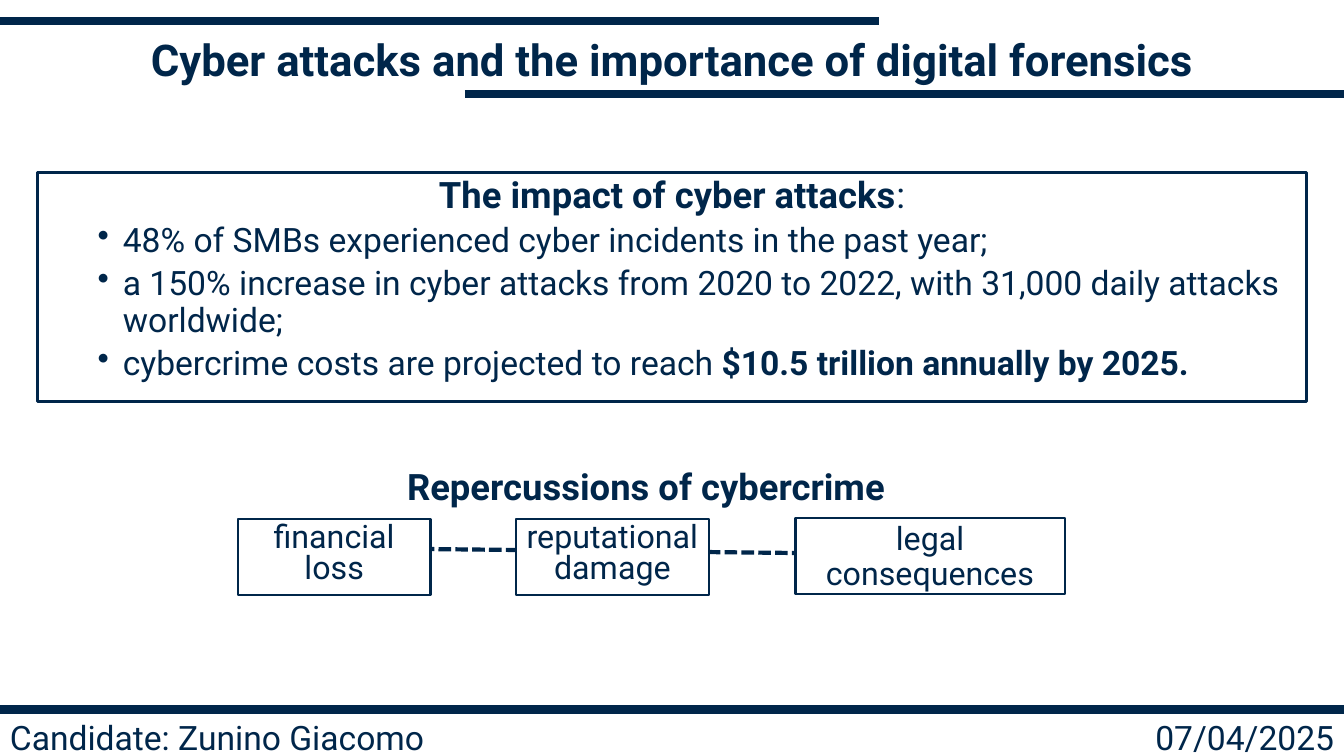
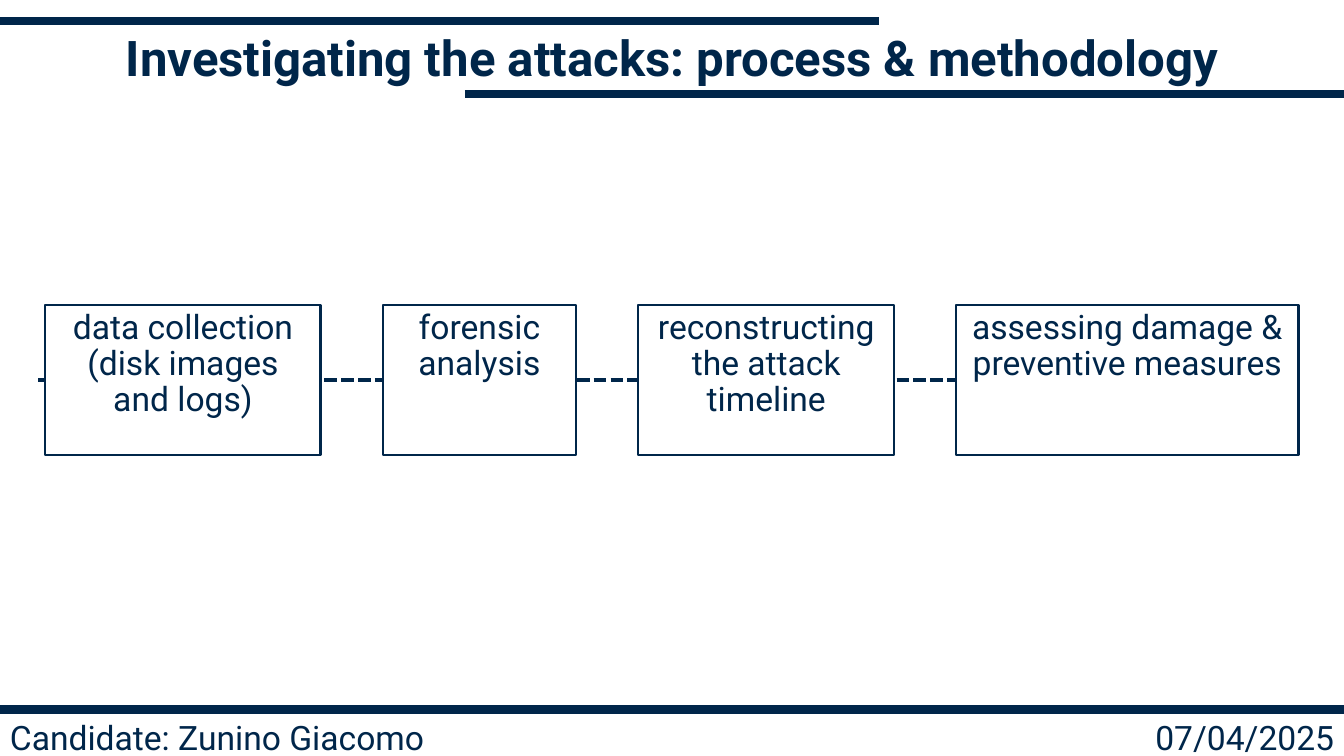
from dataclasses import dataclass

from lxml import etree
from pptx import Presentation
from pptx.dml.color import RGBColor
from pptx.enum import dml, shapes, text
from pptx.oxml import ns
from pptx.util import Inches, Pt

NAVY = "00264A"
WHITE = "FFFFFF"
FONT = "Roboto"
WIDTH, HEIGHT = 13.33, 7.5
LEFT, CENTER, RIGHT = text.PP_ALIGN.LEFT, text.PP_ALIGN.CENTER, text.PP_ALIGN.RIGHT
TOP, MIDDLE = text.MSO_ANCHOR.TOP, text.MSO_ANCHOR.MIDDLE


@dataclass
class Span:
    words: str
    bold: bool = False


@dataclass
class Para:
    spans: list[Span]
    size: float
    align: text.PP_ALIGN = CENTER
    spacing: float = 0.9
    before: float = 10
    bullet: bool = False


@dataclass
class Step:
    """One box of a process chain."""
    words: str
    left: float
    top: float
    width: float
    spacing: float = 0.9


def color(value: str) -> RGBColor:
    return RGBColor.from_string(value)


def add_bullet(para) -> None:
    para.level = 1
    properties = para._p.get_or_add_pPr()
    properties.set("marL", str(Inches(0.75)))
    properties.set("indent", str(Inches(-0.25)))
    mark = etree.Element(ns.qn("a:buChar"), char="•")
    default_font = properties.find(ns.qn("a:defRPr"))
    default_font.addprevious(mark)


def write(frame, paras: list[Para], anchor=TOP) -> None:
    frame.word_wrap = True
    frame.auto_size = text.MSO_AUTO_SIZE.NONE
    frame.vertical_anchor = anchor
    for index, item in enumerate(paras):
        para = frame.paragraphs[0] if index == 0 else frame.add_paragraph()
        para.alignment = item.align
        para.line_spacing = item.spacing
        para.space_before = Pt(item.before)
        para.font.name = FONT
        para.font.size = Pt(item.size)
        para.font.color.rgb = color(NAVY)
        same_weight = len({span.bold for span in item.spans}) == 1
        if same_weight:
            para.font.bold = item.spans[0].bold
        for span in item.spans:
            run = para.add_run()
            run.text = span.words
            if not same_weight:
                run.font.bold = span.bold
        if item.bullet:
            add_bullet(para)


def add_line(page, start: tuple, end: tuple, weight: float, dashed: bool = False):
    line = page.shapes.add_connector(
        shapes.MSO_CONNECTOR.STRAIGHT, *map(Inches, start + end))
    line.line.color.rgb = color(NAVY)
    line.line.width = Pt(weight)
    if dashed:
        line.line.dash_style = dml.MSO_LINE.SQUARE_DOT
    etree.SubElement(line._element.spPr, ns.qn("a:effectLst"))
    return line


def add_text(page, place: tuple, para: Para, anchor=TOP) -> None:
    box = page.shapes.add_textbox(*map(Inches, place))
    write(box.text_frame, [para], anchor)


def add_box(page, place: tuple, paras: list[Para], weight: float, fill: str = ""):
    box = page.shapes.add_shape(shapes.MSO_SHAPE.RECTANGLE, *map(Inches, place))
    box.shadow.inherit = False
    if fill:
        box.fill.solid()
        box.fill.fore_color.rgb = color(fill)
    else:
        box.fill.background()
    box.line.color.rgb = color(NAVY)
    box.line.width = Pt(weight)
    write(box.text_frame, paras)
    return box


def add_chain(page, start: tuple, steps: list[Step], height: float, size: float) -> None:
    """Boxes over one dashed line that ends at the last box."""
    last = steps[-1]
    end = (last.left + last.width, last.top + height / 2)
    link = add_line(page, start, end, 3, dashed=True)
    for step in steps:
        para = Para([Span(step.words)], size, spacing=step.spacing)
        box = add_box(page, (step.left, step.top, step.width, height), [para], 1.5, WHITE)
    link.end_connect(box, 3)


def add_page(deck, heading: str, size: float, spacing: float):
    """Page with title, bands and footer."""
    page = deck.slides.add_slide(deck.slide_layouts[5])
    title = page.shapes.title
    title.left, title.top = Inches(0), Inches(0.31)
    title.width, title.height = Inches(WIDTH), Inches(0.62)
    write(title.text_frame,
          [Para([Span(heading, True)], size, spacing=spacing, before=0)], MIDDLE)

    # Bands around the title and above the footer
    for start, end, y in ((4.61, WIDTH, 0.93), (0, 8.72, 0.21), (-0.19, WIDTH, 7.04)):
        add_line(page, (start, y), (end, y), 6)

    # Footer
    width = 5.09
    for words, left, align in (("Candidate: Zunino Giacomo", 0, LEFT),
                               ("07/04/2025", WIDTH - width, RIGHT)):
        add_text(page, (left, 7.09, width, 0.5), Para([Span(words)], 24, align), MIDDLE)
    return page


def build_impact(deck) -> None:
    page = add_page(deck, "Cyber attacks and the importance of digital forensics", 31.2, 0.9)

    # Impact panel
    facts = [
        [Span("48% of SMBs experienced cyber incidents in the past year;")],
        [Span("a 150% increase in cyber attacks from 2020 to 2022, "
              "with 31,000 daily attacks worldwide;")],
        [Span("cybercrime costs are projected to reach "),
         Span("$10.5 trillion annually by 2025.", True)],
    ]
    paras = [Para([Span("The impact of cyber attacks", True), Span(":")], 26)]
    paras += [Para(spans, 24, LEFT, before=5, bullet=True) for spans in facts]
    add_box(page, (0.37, 1.71, 12.59, 2.27), paras, 2.25)

    # Repercussions
    add_text(page, (3.67, 4.6, 5.57, 0.57),
             Para([Span("Repercussions of cybercrime ", True)], 26))
    add_chain(page, (2.68, 5.43), [
        Step("financial loss", 2.36, 5.15, 1.91, 0.8),
        Step("reputational damage", 5.12, 5.15, 1.91, 0.8),
        Step("legal consequences", 7.89, 5.14, 2.67),
    ], 0.75, 23)


def build_process(deck) -> None:
    page = add_page(deck, "Investigating the attacks: process & methodology", 35.1, 0.8)
    top = 3.03
    add_chain(page, (0.38, 3.77), [
        Step("data collection (disk images and logs)", 0.45, top, 2.73),
        Step("forensic analysis", 3.8, top, 1.91),
        Step("reconstructing the attack timeline", 6.33, top, 2.54),
        Step("assessing damage & preventive measures", 9.48, top, 3.4),
    ], 1.48, 24)


def main() -> None:
    deck = Presentation()
    deck.slide_width, deck.slide_height = Inches(WIDTH), Inches(HEIGHT)
    build_impact(deck)
    build_process(deck)
    deck.save("out.pptx")


if __name__ == "__main__":
    main()
